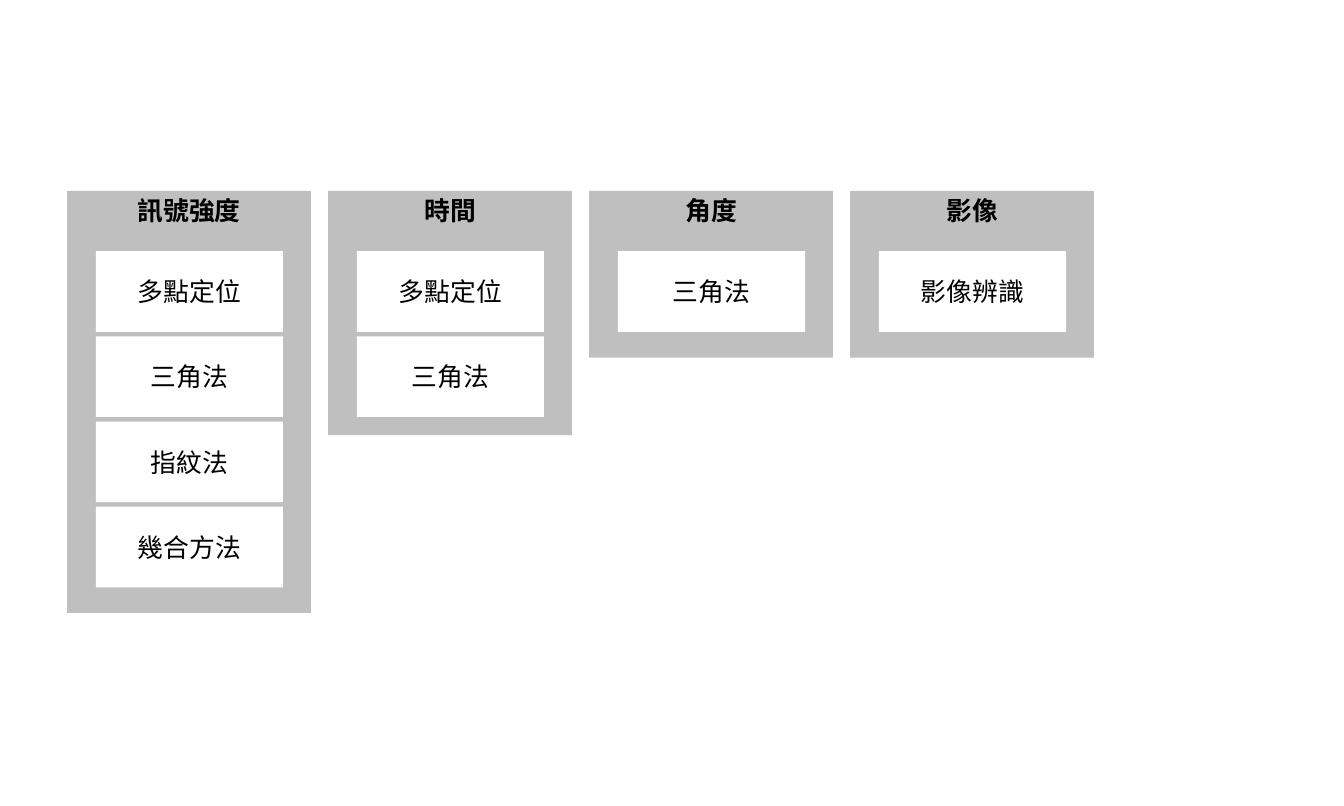
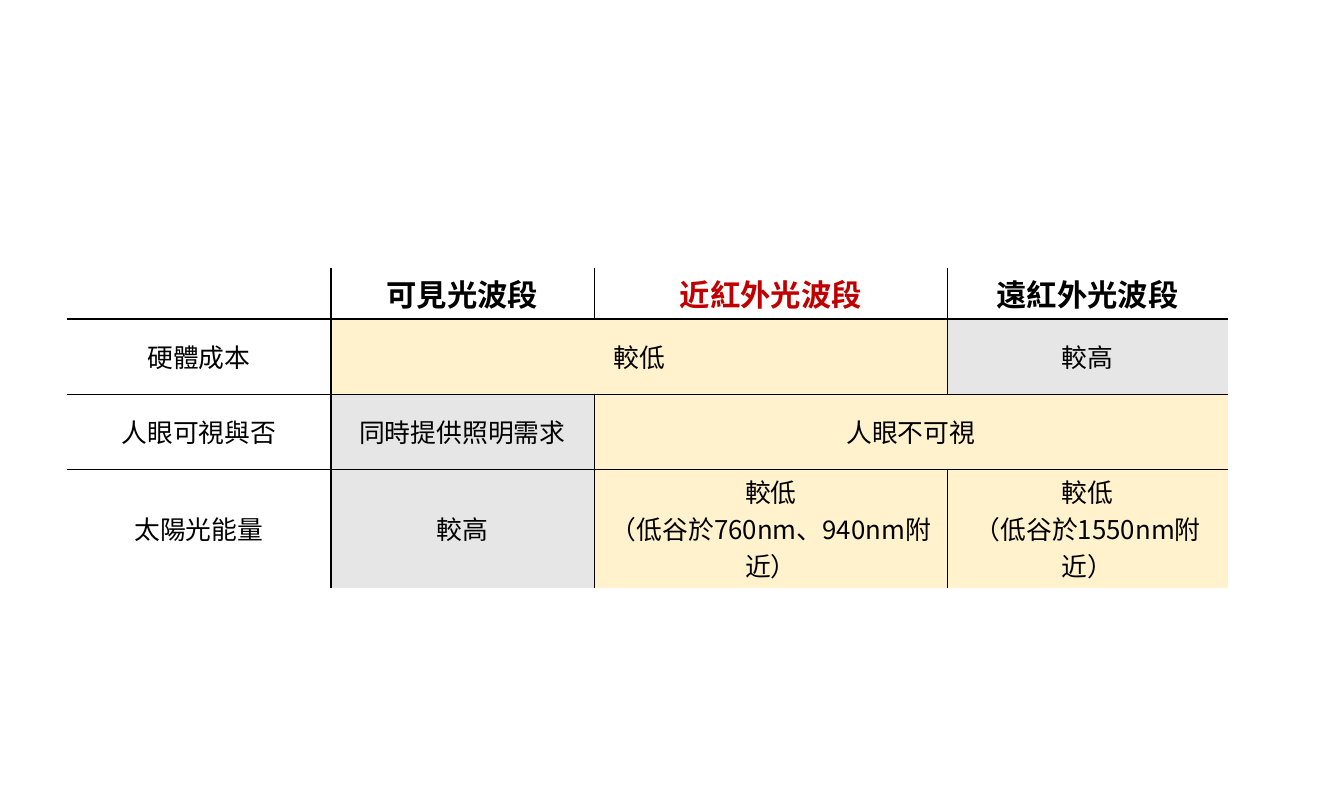
"""Build two slides on positioning methods and light bands."""
from dataclasses import dataclass

from lxml import etree
from pptx import Presentation
from pptx.dml.color import RGBColor
from pptx.enum import shapes, text
from pptx.oxml import ns
from pptx.slide import Slide
from pptx.table import _Cell
from pptx.text.text import TextFrame
from pptx.util import Cm, Pt

BLACK = RGBColor(0x00, 0x00, 0x00)
WHITE = RGBColor(0xFF, 0xFF, 0xFF)
GREY = RGBColor(0xBF, 0xBF, 0xBF)
PALE = RGBColor(0xE7, 0xE6, 0xE6)
CREAM = RGBColor(0xFF, 0xF2, 0xCC)
RED = RGBColor(0xC0, 0x00, 0x00)

FONT = "Noto Sans CJK SC"
BODY = 27.2
HEAD = 32
LEFT = 2.5
THIN = 1
THICK = 2.25


@dataclass
class Panel:
    """A grey column with a heading and white boxes."""
    title: str
    items: list[str]
    height: float


@dataclass
class Entry:
    """One table cell with its text and look."""
    row: int
    col: int
    words: str
    fill: RGBColor | None = None
    span: int = 1
    color: RGBColor = BLACK
    font: str = FONT


PANELS = [
    Panel("訊號強度", ["多點定位", "三角法", "指紋法", "幾合方法"], 15.7),
    Panel("時間", ["多點定位", "三角法"], 9.09),
    Panel("角度", ["三角法"], 6.2),
    Panel("影像", ["影像辨識"], 6.2),
]

COLS = [9.8, 9.8, 13.16, 10.41]
ROWS = [1.75, 2.79, 2.79, 2.79]
ENTRIES = [
    Entry(0, 0, ""),
    Entry(0, 1, "可見光波段"),
    Entry(0, 2, "近紅外光波段", color=RED),
    Entry(0, 3, "遠紅外光波段"),
    Entry(1, 0, "硬體成本"),
    Entry(1, 1, "較低", CREAM, span=2),
    Entry(1, 3, "較高", PALE),
    Entry(2, 0, "人眼可視與否"),
    Entry(2, 1, "同時提供照明需求", PALE, font="Calibri"),
    Entry(2, 2, "人眼不可視", CREAM, span=2),
    Entry(3, 0, "太陽光能量"),
    Entry(3, 1, "較高", PALE),
    Entry(3, 2, "較低\n（低谷於760nm、940nm附近）", CREAM),
    Entry(3, 3, "較低\n（低谷於1550nm附近）", CREAM),
]


def style(frame: TextFrame, size: float, bold: bool = False,
          color: RGBColor = BLACK, face: str = FONT) -> None:
    """Centre and format all text in a frame."""
    for para in frame.paragraphs:
        para.alignment = text.PP_ALIGN.CENTER
        for run in para.runs:
            font = run.font
            font.size, font.bold, font.name = Pt(size), bold, face
            font.color.rgb = color
            east = etree.SubElement(run._r.get_or_add_rPr(), ns.qn("a:ea"))
            east.set("typeface", FONT)


def block(slide: Slide, left: float, top: float, width: float, height: float,
          fill: RGBColor, words: str, head: bool = False) -> None:
    """Draw a plain filled box with text, at the top if it is a heading."""
    box = slide.shapes.add_shape(shapes.MSO_SHAPE.RECTANGLE,
                                 Cm(left), Cm(top), Cm(width), Cm(height))
    box.shadow.inherit = False
    box.fill.solid()
    box.fill.fore_color.rgb = fill
    box.line.fill.background()
    frame = box.text_frame
    frame.text = words
    frame.vertical_anchor = text.MSO_ANCHOR.TOP if head else text.MSO_ANCHOR.MIDDLE
    style(frame, BODY, head)


def column(slide: Slide, panel: Panel, index: int) -> None:
    """Draw one panel and its stack of boxes."""
    left = LEFT + index * 9.71
    block(slide, left, 7.11, 9.07, panel.height, GREY, panel.title, True)
    for row, item in enumerate(panel.items):
        block(slide, left + 1.07, 9.35 + row * 3.17, 6.96, 3, WHITE, item)


def rule(index: int, count: int) -> float:
    """Give the line width before a row or column; none at the outside."""
    if index in (0, count):
        return 0
    return THICK if index == 1 else THIN


def border(cell: _Cell, widths: dict[str, float]) -> None:
    """Set the four edges of a cell, clearing those of no width."""
    props = cell._tc.get_or_add_tcPr()
    for side, width in widths.items():
        line = etree.SubElement(props, ns.qn(f"a:ln{side}"))
        if not width:
            etree.SubElement(line, ns.qn("a:noFill"))
            continue
        line.set("w", str(Pt(width)))
        paint = etree.SubElement(line, ns.qn("a:solidFill"))
        etree.SubElement(paint, ns.qn("a:srgbClr")).set("val", str(BLACK))


def grid(slide: Slide) -> None:
    """Draw the table that compares the light bands."""
    frame = slide.shapes.add_table(len(ROWS), len(COLS), Cm(LEFT), Cm(9.98),
                                   Cm(sum(COLS)), Cm(sum(ROWS)))
    table = frame.table
    table.first_row = table.horz_banding = False
    for col, width in zip(table.columns, COLS):
        col.width = Cm(width)
    for row, height in zip(table.rows, ROWS):
        row.height = Cm(height)
    for entry in ENTRIES:
        row, last = entry.row, entry.col + entry.span - 1
        cell = table.cell(row, entry.col)
        if entry.span > 1:
            cell.merge(table.cell(row, last))
        cell.text = entry.words
        cell.vertical_anchor = text.MSO_ANCHOR.MIDDLE
        head = row == 0
        style(cell.text_frame, HEAD if head else BODY, head,
              entry.color, entry.font)
        for col in range(entry.col, last + 1):
            part = table.cell(row, col)
            border(part, {
                "L": rule(col, len(COLS)) if col == entry.col else 0,
                "R": rule(last + 1, len(COLS)),
                "T": rule(row, len(ROWS)),
                "B": rule(row + 1, len(ROWS)),
            })
            if entry.fill is None:
                part.fill.background()
            else:
                part.fill.solid()
                part.fill.fore_color.rgb = entry.fill


def main() -> None:
    """Make and save the deck."""
    deck = Presentation()
    deck.slide_width, deck.slide_height = Cm(50), Cm(30)
    blank = deck.slide_layouts[6]
    first = deck.slides.add_slide(blank)
    for index, panel in enumerate(PANELS):
        column(first, panel, index)
    grid(deck.slides.add_slide(blank))
    deck.save("out.pptx")


if __name__ == "__main__":
    main()
